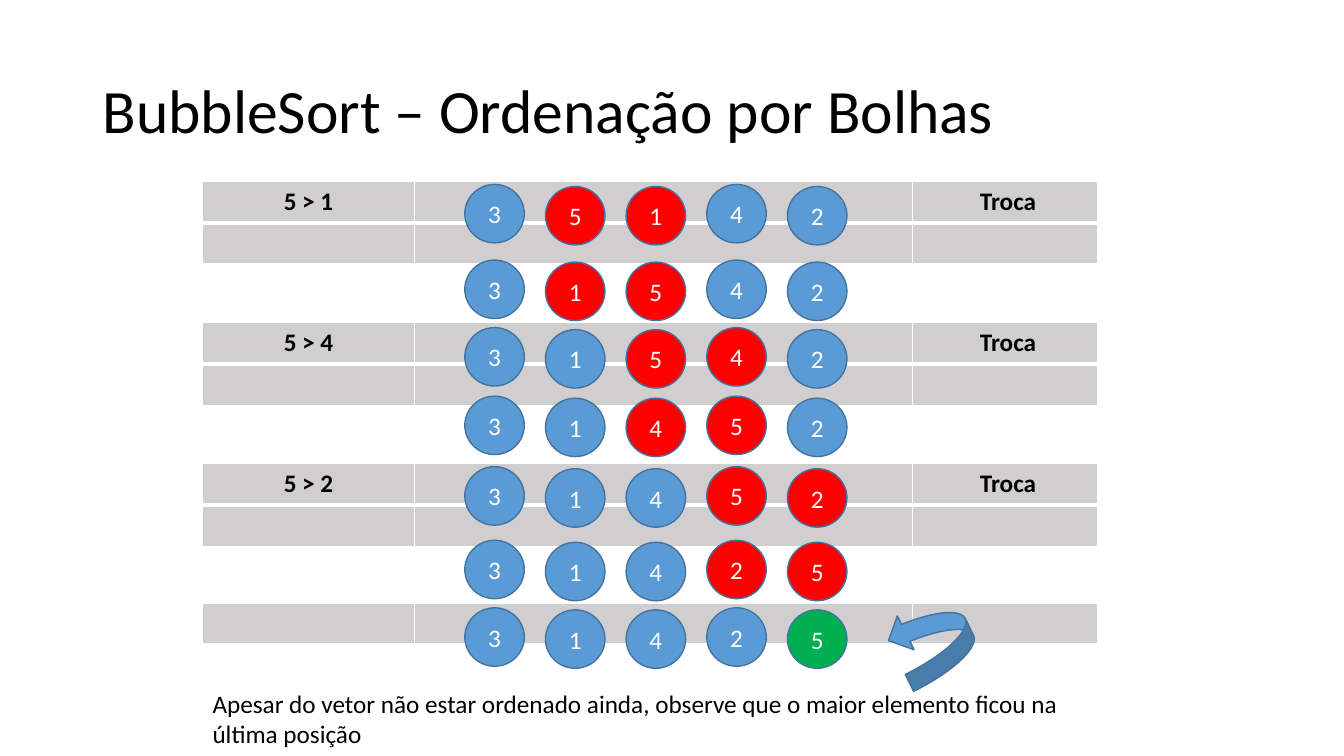
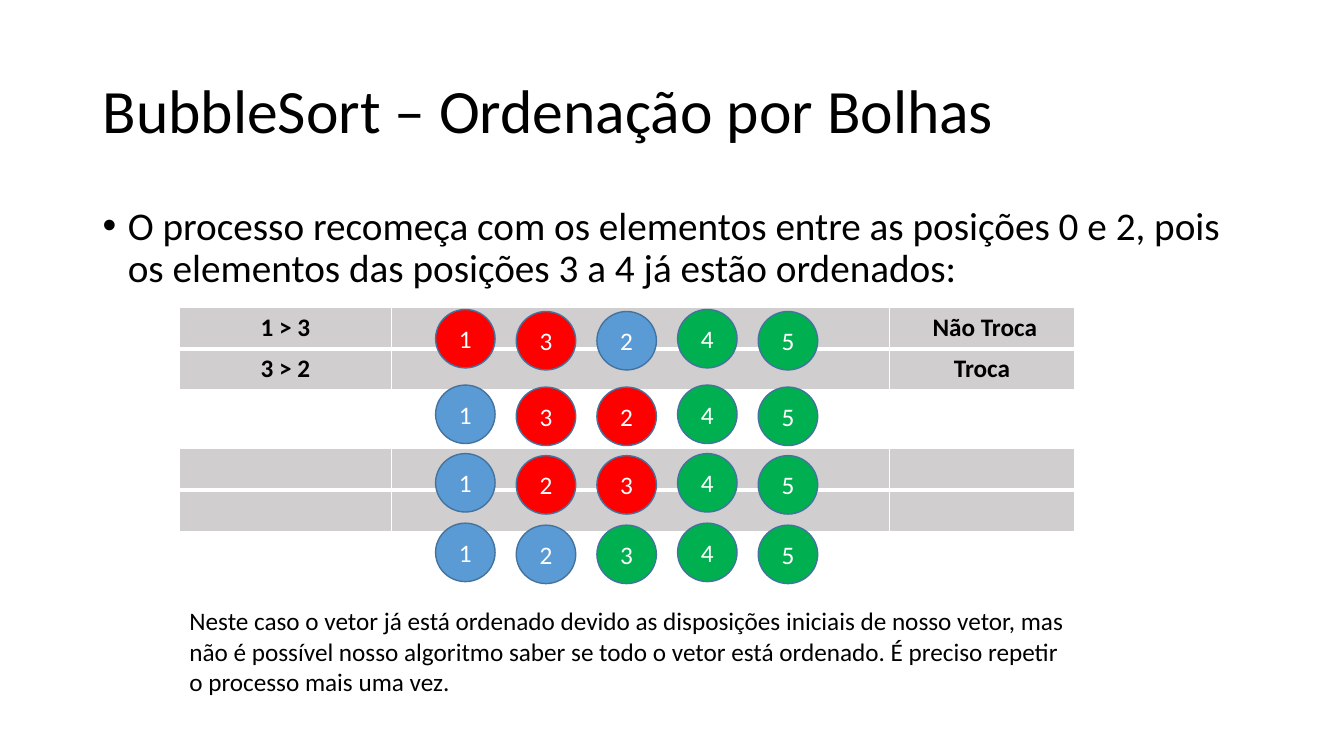
from dataclasses import dataclass

from lxml.etree import SubElement
from pptx import Presentation
from pptx.dml.color import RGBColor
from pptx.enum.shapes import MSO_SHAPE
from pptx.enum.text import MSO_ANCHOR, PP_ALIGN
from pptx.oxml import parse_xml
from pptx.oxml.ns import nsdecls, qn
from pptx.util import Inches, Pt


@dataclass(frozen=True)
class Theme:
    font: str = "Calibri"
    ink: str = "000000"
    note_ink: str = "00000A"
    white: str = "FFFFFF"
    band: str = "D0CECE"
    idle: str = "5B9BD5"
    compared: str = "FF0000"
    sorted: str = "00B050"
    outline: str = "43739E"
    title_size: int = 44
    body_size: int = 28
    text_size: int = 18
    thin: int = 1
    thick: int = 3


THEME = Theme()
TITLE = "BubbleSort – Ordenação por Bolhas"
TITLE_BOX = (0.92, 0.4, 11.5, 1.45)
COLUMN_WIDTHS = (2.1, 4.94, 1.84)
ROW_HEIGHT = 0.41
BALL_SIZE = (0.59, 0.58)
BALL_STEP = 0.8
BALL_DROPS = (0, 0.02, 0.02, 0, 0.02)
BALL_FILLS = {"-": THEME.idle, "x": THEME.compared, "o": THEME.sorted}
EMPTY_ROW = ("", "", "")


def set_all(target, formats):
    for name, value in formats.items():
        setattr(target, name, value)


def write(frame, text, size=THEME.text_size, color=THEME.ink, bold=False, **formats):
    """Put one styled paragraph in a text frame; formats go to the paragraph."""
    para = frame.paragraphs[0]
    span = para.add_run()
    span.text = text
    set_all(para, formats)
    set_all(span.font, {"name": THEME.font, "size": Pt(size), "bold": bold})
    span.font.color.rgb = RGBColor.from_string(color)
    return para


def add_text(page, box, text, anchor=MSO_ANCHOR.TOP, **formats):
    frame = page.shapes.add_textbox(*map(Inches, box)).text_frame
    set_all(frame, {"word_wrap": True, "vertical_anchor": anchor})
    return write(frame, text, **formats)


def add_bullet(page, box, text):
    para = add_text(page, box, text, size=THEME.body_size,
                    line_spacing=0.9, space_before=Pt(10))
    properties = para._p.get_or_add_pPr()
    properties.set("marL", str(Inches(0.25)))
    properties.set("indent", str(Inches(-0.25)))
    SubElement(properties, qn("a:buFont")).set("typeface", "Arial")
    SubElement(properties, qn("a:buChar")).set("char", "•")


def add_figure(page, kind, box, fill):
    figure = page.shapes.add_shape(kind, *map(Inches, box))
    figure.shadow.inherit = False
    figure.fill.solid()
    figure.fill.fore_color.rgb = RGBColor.from_string(fill)
    figure.line.color.rgb = RGBColor.from_string(THEME.outline)
    figure.line.width = Pt(THEME.thin)
    return figure


def add_balls(page, left, top, values, marks):
    """Draw one state of the array; marks pick each ball's fill."""
    width, height = BALL_SIZE
    for index, (value, mark, drop) in enumerate(zip(values, marks, BALL_DROPS)):
        box = (left + index * BALL_STEP, top + drop, width, height)
        ball = add_figure(page, MSO_SHAPE.OVAL, box, BALL_FILLS[mark])
        ball.text_frame.vertical_anchor = MSO_ANCHOR.MIDDLE
        write(ball.text_frame, value, color=THEME.white, alignment=PP_ALIGN.CENTER)


def set_borders(cell, widths):
    properties = cell._tc.get_or_add_tcPr()
    for place, (side, width) in enumerate(widths.items()):
        properties.insert(place, parse_xml(
            f'<a:ln{side} {nsdecls("a")} w="{Pt(width)}"><a:solidFill>'
            f'<a:srgbClr val="{THEME.white}"/></a:solidFill></a:ln{side}>'))


def add_band(page, left, top, rows):
    """Draw a grey table with a comparison, a free middle and an outcome."""
    frame = page.shapes.add_table(
        len(rows), len(COLUMN_WIDTHS), Inches(left), Inches(top),
        Inches(sum(COLUMN_WIDTHS)), Inches(ROW_HEIGHT * len(rows)))
    table = frame.table
    set_all(table, {"first_row": False, "horz_banding": False})
    for column, width in zip(table.columns, COLUMN_WIDTHS):
        column.width = Inches(width)
    for row_index, texts in enumerate(rows):
        table.rows[row_index].height = Inches(ROW_HEIGHT)
        top_line, bottom_line = ((THEME.thick, THEME.thin) if row_index
                                 else (THEME.thin, THEME.thick))
        for column_index, text in enumerate(texts):
            cell = table.cell(row_index, column_index)
            cell.fill.solid()
            cell.fill.fore_color.rgb = RGBColor.from_string(THEME.band)
            if text:
                write(cell.text_frame, text, bold=True, alignment=PP_ALIGN.CENTER)
            set_borders(cell, {"L": THEME.thin, "R": THEME.thin,
                               "T": top_line, "B": bottom_line})


def add_page(deck, left, bands, balls_left, states):
    """Add a page with the shared title, its bands and the array states."""
    page = deck.slides.add_slide(deck.slide_layouts[6])
    add_text(page, TITLE_BOX, TITLE, anchor=MSO_ANCHOR.MIDDLE,
             size=THEME.title_size, line_spacing=0.9)
    for top, rows in bands:
        add_band(page, left, top, rows)
    for top, values, marks in states:
        add_balls(page, balls_left, top, values, marks)
    return page


def add_first_pass(deck):
    left = 2.01
    bands = [(top, [(comparison, "", " Troca"), EMPTY_ROW])
             for top, comparison in ((1.8, "5 > 1"), (3.2, "5 > 4"), (4.6, "5 > 2"))]
    bands.append((5.99, [EMPTY_ROW]))
    states = (
        (1.83, "35142", "-xx--"),
        (2.58, "31542", "-xx--"),
        (3.25, "31542", "--xx-"),
        (3.93, "31452", "--xx-"),
        (4.63, "31452", "---xx"),
        (5.36, "31425", "---xx"),
        (6.03, "31425", "----o"),
    )
    page = add_page(deck, left, bands, 4.61, states)
    add_text(page, (left, 6.78, 9.04, 0.71),
             "Apesar do vetor não estar ordenado ainda, observe que o maior "
             "elemento ficou na última posição", color=THEME.note_ink)
    arrow = add_figure(page, MSO_SHAPE.CURVED_UP_ARROW,
                       (8.87, 5.96, 0.75, 0.78), THEME.idle)
    arrow.rotation = 243.7


def add_second_pass(deck):
    left = 1.78
    bands = (
        (3.05, [("1 > 3", "", " Não Troca"), ("3 > 2", "", "Troca")]),
        (4.45, [EMPTY_ROW, EMPTY_ROW]),
    )
    states = (
        (3.07, "13245", "xx-oo"),
        (3.82, "13245", "-xxoo"),
        (4.5, "12345", "-xxoo"),
        (5.19, "12345", "--ooo"),
    )
    page = add_page(deck, left, bands, 4.32, states)
    add_bullet(page, (0.92, 2, 11.5, 1.02),
               "O processo recomeça com os elementos entre as posições 0 e 2, pois "
               "os elementos das posições 3 a 4 já estão ordenados:")
    add_text(page, (left, 5.96, 8.89, 1.01),
             "Neste caso o vetor já está ordenado devido as disposições iniciais de "
             "nosso vetor, mas não é possível nosso algoritmo saber se todo o vetor "
             "está ordenado. É preciso repetir o processo mais uma vez.")


def main():
    deck = Presentation()
    set_all(deck, {"slide_width": Inches(13.33), "slide_height": Inches(7.5)})
    add_first_pass(deck)
    add_second_pass(deck)
    deck.save("out.pptx")


if __name__ == "__main__":
    main()
